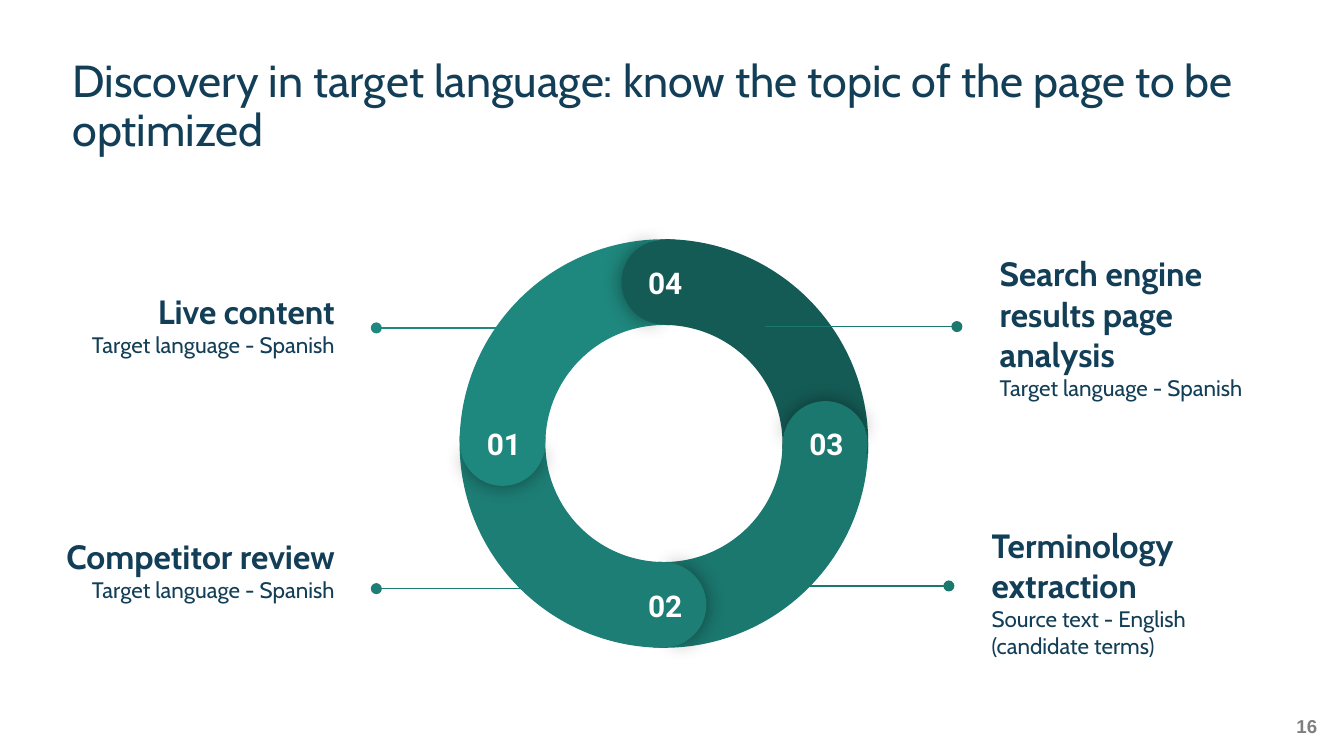
from math import cos, radians, sin

from lxml import etree
from pptx import Presentation
from pptx.dml.color import RGBColor
from pptx.enum.shapes import MSO_CONNECTOR, MSO_SHAPE
from pptx.enum.text import MSO_ANCHOR as Anchor, PP_ALIGN as Align
from pptx.oxml.ns import qn
from pptx.util import Inches, Pt

SLIDE_W = 10
SLIDE_H = SLIDE_W * 9 / 16

COLORS = {
    "navy": "123E57", "white": "FFFFFF", "grey": "7F7F7F", "shadow": "000000",
    "01": "1F887E", "02": "1D7E75", "03": "1B786F", "04": "155B55",
}
TITLE = "Discovery in target language: know the topic of the page to be optimized"
PAGE_NUMBER = "16"

# Step number: clockwise position of its round cap, in degrees from the top
STEPS = {"03": 90, "02": 180, "01": 270, "04": 0}

# heading, detail, box left, box top, alignment, line start x, line end x, line y, line colour
LABELS = [
    ("Live content", "Target language - Spanish",
     0.23, 1.71, Align.RIGHT, 3.95, 2.8, 2.44, "01"),
    ("Competitor review", "Target language - Spanish",
     0.23, 3.53, Align.RIGHT, 4.26, 2.8, 4.38, "02"),
    ("Search engine results page analysis", "Target language - Spanish",
     7.34, 1.73, Align.LEFT, 5.69, 7.12, 2.43, "03"),
    ("Terminology extraction", "Source text - English (candidate terms)",
     7.28, 3.7, Align.LEFT, 5.63, 7.06, 4.36, "03"),
]
LABEL_W, LABEL_H = 2.36, 1.41

CENTER_X, CENTER_Y = 4.94, 3.3
RING_SIZE, CAP_SIZE = 3.04, 0.63
CAP_RADIUS = 1.2
# Angle adjustments are in 100000ths, while angles are in 60000ths of a degree
ARC_ADJUST = (126.23, 181.76, 0.21)
FRONT_CAP_ADJUST = (61.9, 149.96)
BACK_CAP_ADJUST = (40.28, 171.84)


def rgb(name):
    return RGBColor.from_string(COLORS[name])


def add_text(slide, box, lines, color, font, align=Align.LEFT, anchor=Anchor.TOP, inset=0):
    """Add a text box; each line is (text, size, bold)."""
    frame = slide.shapes.add_textbox(*map(Inches, box)).text_frame
    frame.word_wrap = True
    frame.vertical_anchor = anchor
    frame.margin_left = frame.margin_right = Inches(inset)
    frame.margin_top = frame.margin_bottom = Inches(inset)
    frame.text = "\n".join(text for text, _, _ in lines)
    for paragraph, (_, size, bold) in zip(frame.paragraphs, lines):
        paragraph.alignment = align
        for run in paragraph.runs:
            run.font.name = font
            run.font.size = Pt(size)
            run.font.bold = bold
            run.font.color.rgb = rgb(color)
    return frame


def add_sector(slide, kind, x, y, size, rotation, adjust, color):
    """Add a rotated round shape centred on x, y."""
    box = (x - size / 2, y - size / 2, size, size)
    sector = slide.shapes.add_shape(kind, *map(Inches, box))
    for index, value in enumerate(adjust):
        sector.adjustments[index] = value
    sector.rotation = rotation % 360
    sector.fill.solid()
    sector.fill.fore_color.rgb = rgb(color)
    sector.line.fill.background()
    sector.shadow.inherit = False
    return sector


def add_glow_shadow(shape):
    effects = shape._element.spPr.find(qn("a:effectLst"))
    shadow = etree.SubElement(effects, qn("a:outerShdw"), blurRad=str(Pt(11.25)),
                              dist="0", dir="0", algn="bl", rotWithShape="0")
    tint = etree.SubElement(shadow, qn("a:srgbClr"), val=COLORS["shadow"])
    etree.SubElement(tint, qn("a:alpha"), val="43000")


def add_pointer(slide, start_x, end_x, y, color):
    """Add a horizontal line ending in a dot."""
    pointer = slide.shapes.add_connector(
        MSO_CONNECTOR.STRAIGHT, *map(Inches, (start_x, y, end_x, y)))
    pointer.line.color.rgb = rgb(color)
    pointer.line.width = Pt(0.75)
    etree.SubElement(pointer.line._get_or_add_ln(), qn("a:tailEnd"), type="oval")
    etree.SubElement(pointer._element.spPr, qn("a:effectLst"))


def add_ring(slide):
    for step, angle in STEPS.items():
        add_sector(slide, MSO_SHAPE.BLOCK_ARC, CENTER_X, CENTER_Y, RING_SIZE,
                   angle + 60, ARC_ADJUST, step)
    for step, angle in STEPS.items():
        x = CENTER_X + CAP_RADIUS * sin(radians(angle))
        y = CENTER_Y - CAP_RADIUS * cos(radians(angle))
        front = add_sector(slide, MSO_SHAPE.PIE, x, y, CAP_SIZE,
                           angle + 0.7, FRONT_CAP_ADJUST, step)
        add_glow_shadow(front)
        add_sector(slide, MSO_SHAPE.PIE, x, y, CAP_SIZE,
                   angle + 180, BACK_CAP_ADJUST, step)
        add_text(slide, (x - 0.27, y - 0.23, 0.56, 0.29), [(step, 16, True)],
                 "white", "Roboto", Align.CENTER, inset=0.1)


def main():
    deck = Presentation()
    deck.slide_width, deck.slide_height = Inches(SLIDE_W), Inches(SLIDE_H)
    slide = deck.slides.add_slide(deck.slide_layouts[6])

    add_text(slide, (9.46, 5.32, 0.34, 0.2), [(PAGE_NUMBER, 10, True)],
             "grey", "Arial", Align.RIGHT)
    title = add_text(slide, (0.54, 0.55, 8.93, 0.61), [(TITLE, 24, False)],
                     "navy", "Cabin", anchor=Anchor.BOTTOM)
    title.paragraphs[0].line_spacing = 0.9

    add_ring(slide)
    for heading, detail, left, top, align, start_x, end_x, y, color in LABELS:
        label = add_text(slide, (left, top, LABEL_W, LABEL_H),
                         [(heading, 18, True), (detail, 12, False)],
                         "navy", "Cabin", align, Anchor.MIDDLE, 0.1)
        label.paragraphs[-1].space_after = Pt(16)
        add_pointer(slide, start_x, end_x, y, color)

    deck.save("out.pptx")


if __name__ == "__main__":
    main()
